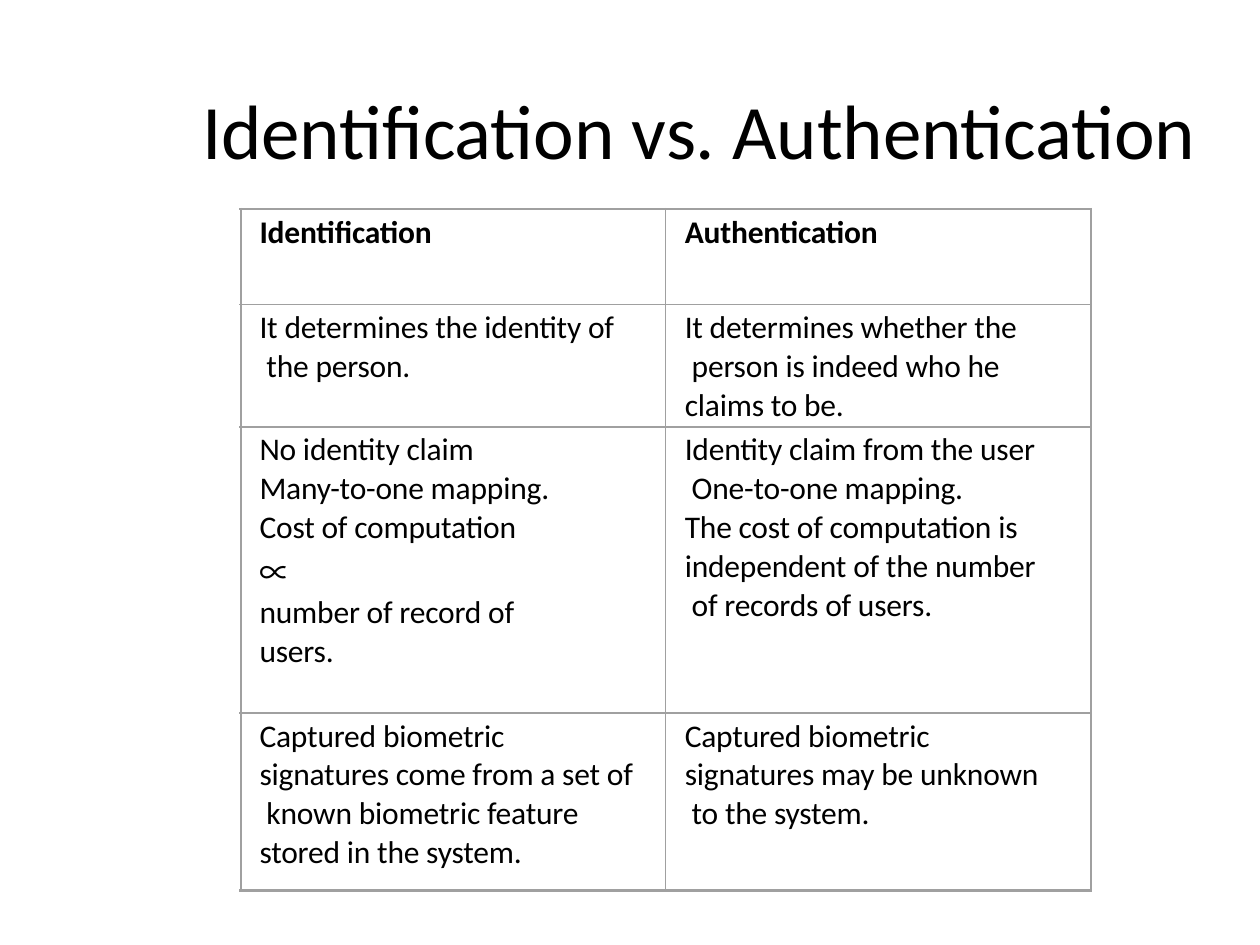
import pptx
import pptx.dml.color
import pptx.oxml
import pptx.oxml.ns
import pptx.util

Pt = pptx.util.Pt
qn = pptx.oxml.ns.qn

ROWS = [
    (["Identification"], ["Authentication"]),
    (["It determines the identity of\v the person."],
     ["It determines whether the\v person is indeed who he\vclaims to be."]),
    (["No identity claim\vMany-to-one mapping.",
      "Cost of computation\v∝",
      "number of record of\vusers."],
     ["Identity claim from the user\v One-to-one mapping.",
      "The cost of computation is\vindependent of the number\v of records of users."]),
    (["Captured biometric\vsignatures come from a set of\v known biometric feature\vstored in the system."],
     ["Captured biometric\vsignatures may be unknown\v to the system."]),
]
HEIGHTS = [54.5, 70, 163.5, 101.5]


def rgb(color):
    """Turn a hex string into a colour."""
    return pptx.dml.color.RGBColor.from_string(color)


def add_run(p, text, size, bold, color):
    """Add one run, with the math sign in its own font."""
    symbol = text == "∝"
    r = p.add_run()
    r.text = text
    r.font.name = "Noto Sans CJK JP" if symbol else "Calibri"
    r.font.size = Pt(size)
    r.font.bold = bold
    r.font.color.rgb = rgb(color)
    rPr = r._r.get_or_add_rPr()
    if symbol:
        ea = pptx.oxml.parse_xml(
            f'<a:ea {pptx.oxml.ns.nsdecls("a")} typeface="Noto Sans CJK JP"/>')
        rPr.append(ea)
    else:
        rPr.set("spc", "-10")


def write(tf, paragraphs, size=18, bold=False, color="000000", spacing=None):
    """Fill a text frame with paragraphs, where \\v breaks a line."""
    for i, text in enumerate(paragraphs):
        p = tf.paragraphs[0] if i == 0 else tf.add_paragraph()
        if spacing:
            p.line_spacing = spacing
        for j, line in enumerate(text.split("\v")):
            if j:
                p.add_line_break()
            add_run(p, line, size, bold, color)


def set_borders(cell, widths, color="A0A0A0"):
    """Draw the left, right, top and bottom borders of a cell."""
    tcPr = cell._tc.get_or_add_tcPr()
    for side, width in zip("LRTB", widths):
        tcPr.append(pptx.oxml.parse_xml(
            f'<a:ln{side} {pptx.oxml.ns.nsdecls("a")} w="{Pt(width)}">'
            f'<a:solidFill><a:srgbClr val="{color}"/></a:solidFill></a:ln{side}>'))


def add_title(s, x, y, w, h):
    """Place the slide title."""
    tf = s.shapes.add_textbox(Pt(x), Pt(y), Pt(w), Pt(h)).text_frame
    tf.word_wrap = True
    tf.margin_left = tf.margin_right = tf.margin_bottom = 0
    tf.margin_top = Pt(1)
    write(tf, ["Identification vs. Authentication"], size=44)


def add_comparison(s, x, y, w):
    """Place the two-column comparison table."""
    table = s.shapes.add_table(
        len(ROWS), 2, Pt(x), Pt(y), Pt(w), Pt(sum(HEIGHTS))).table
    table.first_row = table.horz_banding = False
    for column in table.columns:
        column.width = Pt(w / 2)
    last = len(ROWS) - 1
    for i, (row, height) in enumerate(zip(ROWS, HEIGHTS)):
        table.rows[i].height = Pt(height)
        for j, paragraphs in enumerate(row):
            cell = table.cell(i, j)
            outer = (j == 0, j == 1, i == 0, i == last)
            set_borders(cell, [1.5 if edge else 0.75 for edge in outer])
            cell.fill.background()
            cell.margin_left = Pt(10.8)
            cell.margin_right = cell.margin_bottom = 0
            cell.margin_top = Pt(2.6 if i == 0 else 2.1)
            write(cell.text_frame, paragraphs, bold=i == 0,
                  spacing=1.01 if i else None)


def main():
    """Build and save the slide."""
    prs = pptx.Presentation()
    prs.slide_width, prs.slide_height = Pt(720), Pt(540)
    s = prs.slides.add_slide(prs.slide_layouts[6])
    add_title(s, 115.5, 46, 574, 55)
    add_comparison(s, 137.5, 119.5, 486)
    prs.save("out.pptx")


if __name__ == "__main__":
    main()
